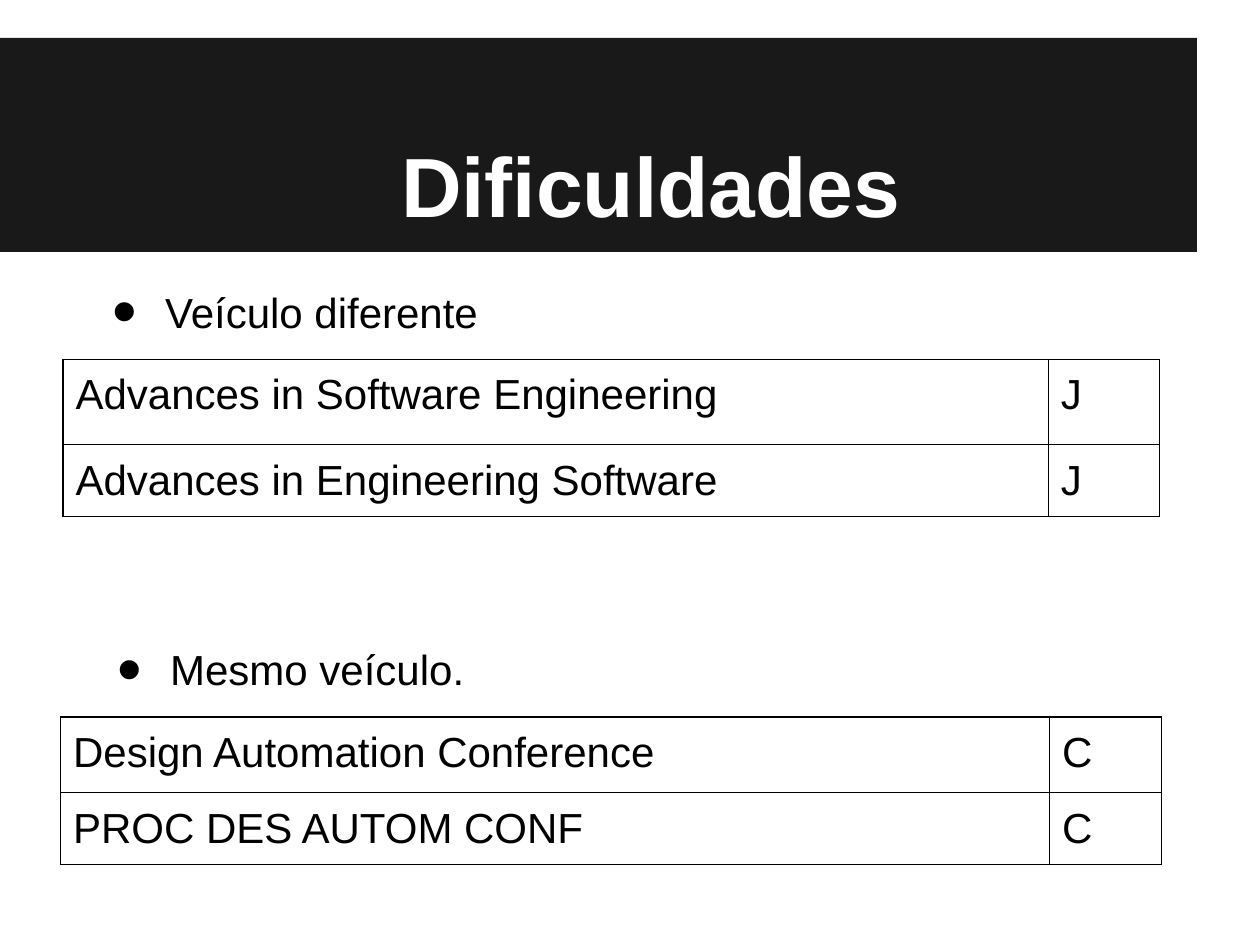
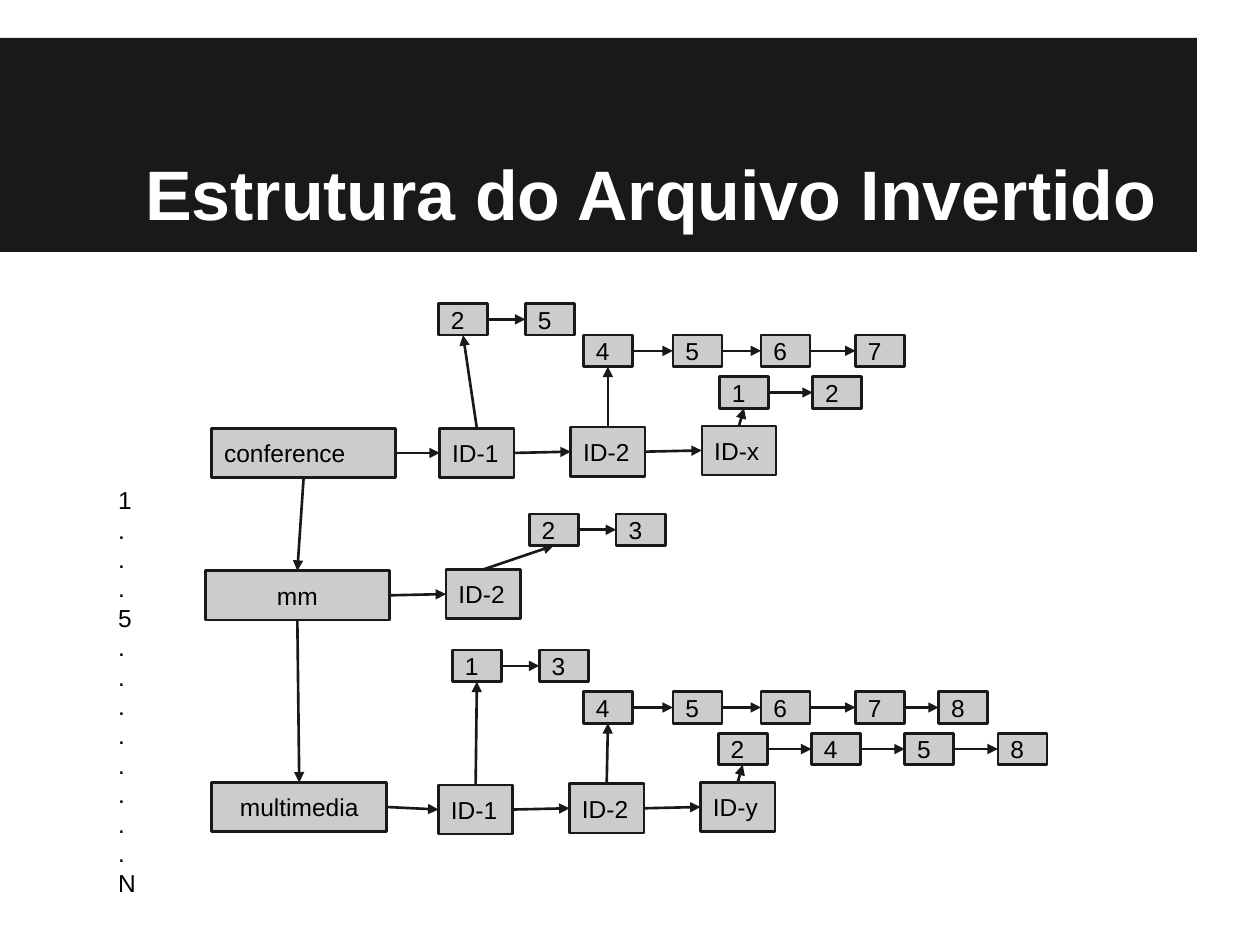
from dataclasses import dataclass

from lxml import etree
from pptx import Presentation
from pptx import util as u
from pptx.dml.color import RGBColor
from pptx.enum import shapes, text
from pptx.oxml import ns

BLACK = RGBColor(0x00, 0x00, 0x00)
WHITE = RGBColor(0xFF, 0xFF, 0xFF)
CHARCOAL = RGBColor(0x19, 0x19, 0x19)
GREY = RGBColor(0xCC, 0xCC, 0xCC)
FONT = "Arial"

COLUMNS, ROWS = 100, 75
CELL = u.Inches(0.1)
TOP, LEFT, BOTTOM, RIGHT = range(4)


@dataclass
class Box:
    left: float
    top: float
    width: float
    height: float

    def inner(self, left, top, width, height):
        return Box(self.left + left, self.top + top, width, height)

    def lengths(self):
        sides = (self.left, self.top, self.width, self.height)
        return [round(side * CELL) for side in sides]


BAND = Box(0, 3, 95, 17)
TITLE = Box(5, 3, 90, 16.6)
DIAGRAM = Box(16.3, 24.1, 68, 42.1)
POSITIONS = Box(8.4, 37.5, 3, 28.5)

WORD_HEIGHT = 3.9
ID_WIDTH, ID_STEP, ID_RISE = 5.9, 10.4, 0.1
PAGE_WIDTH, PAGE_HEIGHT = 3.9, 2.5
NEAR = (0, 6.9)
MIDDLE = (0, 7.1, 14.1, 21.6, 28.2)
FAR = (0, 7.4, 14.8, 22.2)

ENTRIES = [
    ("conference", text.PP_ALIGN.LEFT, (0.5, 9.9), 14.6, (18.1, 0), [
        ("ID-1", (-0.1, -9.9), NEAR, "25"),
        ("ID-2", (1, -7.3), MIDDLE, "4567"),
        ("ID-x", (1.4, -3.9), FAR, "12"),
    ]),
    ("mm", text.PP_ALIGN.CENTER, (0, 21.2), 14.6, (19.1, -0.1), [
        ("ID-2", (6.6, -4.4), NEAR, "23"),
    ]),
    ("multimedia", text.PP_ALIGN.CENTER, (0.5, 38), 13.9, (18, 0.2), [
        ("ID-1", (1.1, -10.7), NEAR, "13"),
        ("ID-2", (1.1, -7.3), MIDDLE, "45678"),
        ("ID-y", (1.4, -3.9), FAR, "2458"),
    ]),
]


def add_xml(parent, tag, **attributes):
    return etree.SubElement(parent, ns.qn(tag), **attributes)


def write(frame, lines, size, color=BLACK, align=None, bold=None,
          anchor=text.MSO_ANCHOR.TOP):
    frame.word_wrap = True
    frame.auto_size = text.MSO_AUTO_SIZE.NONE
    frame.vertical_anchor = anchor
    frame.margin_left = frame.margin_right = CELL
    frame.margin_top = frame.margin_bottom = CELL
    frame.text = "\n".join(lines)
    for paragraph in frame.paragraphs:
        paragraph.alignment = align
        paragraph.space_before = u.Pt(0)
        font = paragraph.font
        font.name, font.size, font.bold = FONT, u.Pt(size), bold
        font.color.rgb = color


def indent(paragraph, margin, first_line):
    properties = paragraph._p.get_or_add_pPr()
    properties.set("marL", str(round(margin * CELL)))
    properties.set("indent", str(round(first_line * CELL)))
    return properties


def place(shape, box):
    shape.left, shape.top, shape.width, shape.height = box.lengths()


def add_master_band(presentation, slide):
    band = slide.shapes.add_shape(shapes.MSO_SHAPE.RECTANGLE, *BAND.lengths())
    band.shadow.inherit = False
    band.fill.solid()
    band.fill.fore_color.rgb = CHARCOAL
    band.line.fill.background()
    presentation.slide_master.shapes.element.insert(2, band.element)


def add_title(slide, title, size):
    place(slide.shapes.title, TITLE)
    frame = slide.shapes.title.text_frame
    write(frame, [title], size, WHITE, text.PP_ALIGN.CENTER, True,
          text.MSO_ANCHOR.BOTTOM)
    indent(frame.paragraphs[0], 0, 3.3)


def add_bullet(placeholder, box, line):
    place(placeholder, box)
    write(placeholder.text_frame, [line], 24)
    properties = indent(placeholder.text_frame.paragraphs[0], 5, -4.2)
    color = add_xml(properties, "a:buClr")
    add_xml(color, "a:srgbClr", val=str(BLACK))
    add_xml(properties, "a:buSzPct", val="167000")
    add_xml(properties, "a:buFont", typeface=FONT)
    add_xml(properties, "a:buChar", char="•")
    for tag in ("a:defRPr",):
        for defaults in properties.findall(ns.qn(tag)):
            properties.append(defaults)


def add_borders(cell):
    properties = cell._tc.get_or_add_tcPr()
    for index, side in enumerate(("a:lnL", "a:lnR", "a:lnT", "a:lnB")):
        border = etree.Element(ns.qn(side), w=str(u.Pt(0.75)))
        fill = add_xml(border, "a:solidFill")
        add_xml(fill, "a:srgbClr", val=str(BLACK))
        properties.insert(index, border)


def add_venues(slide, box, widths, heights, venues):
    frame = slide.shapes.add_table(len(heights), len(widths), *box.lengths())
    table = frame.table
    table.first_row = table.horz_banding = False
    for column, width in zip(table.columns, widths):
        column.width = round(width * CELL)
    for row, height, venue in zip(table.rows, heights, venues):
        row.height = round(height * CELL)
        for cell, value in zip(row.cells, venue):
            cell.margin_left = cell.margin_right = CELL
            cell.margin_top = cell.margin_bottom = CELL
            cell.text = value
            font = cell.text_frame.paragraphs[0].font
            font.name, font.size = FONT, u.Pt(24)
            font.color.rgb = BLACK
            cell.fill.background()
            add_borders(cell)


def add_node(slide, box, label, align=text.PP_ALIGN.LEFT):
    node = slide.shapes.add_shape(shapes.MSO_SHAPE.RECTANGLE, *box.lengths())
    node.shadow.inherit = False
    node.fill.solid()
    node.fill.fore_color.rgb = GREY
    node.line.color.rgb = CHARCOAL
    node.line.width = u.Pt(1.5)
    write(node.text_frame, [label], 14, align=align,
          anchor=text.MSO_ANCHOR.MIDDLE)
    return node


def add_arrow(slide, start, start_side, end, end_side):
    arrow = slide.shapes.add_connector(
        shapes.MSO_CONNECTOR.STRAIGHT, 0, 0, 0, 0)
    arrow.begin_connect(start, start_side)
    arrow.end_connect(end, end_side)
    arrow.line.color.rgb = CHARCOAL
    arrow.line.width = u.Pt(1.5)
    add_xml(arrow.line._get_or_add_ln(), "a:tailEnd", type="triangle")
    add_xml(arrow.element.spPr, "a:effectLst")


def add_pages(slide, box, track, pages):
    nodes = [add_node(slide, box.inner(left, 0, PAGE_WIDTH, PAGE_HEIGHT), page)
             for left, page in zip(track, pages)]
    for start, end in zip(nodes, nodes[1:]):
        add_arrow(slide, start, RIGHT, end, LEFT)
    return nodes[0]


def add_entry(slide, box, word, align, first_id, records):
    word_node = previous = add_node(slide, box, word, align)
    left, top = first_id
    for index, (label, offset, track, pages) in enumerate(records):
        id_box = box.inner(left + index * ID_STEP, top - index * ID_RISE,
                           ID_WIDTH, WORD_HEIGHT)
        id_node = add_node(slide, id_box, label)
        add_arrow(slide, previous, RIGHT, id_node, LEFT)
        pages_box = id_box.inner(*offset, PAGE_WIDTH, PAGE_HEIGHT)
        first_page = add_pages(slide, pages_box, track, pages)
        add_arrow(slide, id_node, TOP, first_page, BOTTOM)
        previous = id_node
    return word_node


def add_inverted_file(slide, box):
    words = []
    for word, align, offset, width, first_id, records in ENTRIES:
        word_box = box.inner(*offset, width, WORD_HEIGHT)
        words.append(
            add_entry(slide, word_box, word, align, first_id, records))
    for start, end in zip(words, words[1:]):
        add_arrow(slide, start, BOTTOM, end, TOP)


def add_positions(slide, box):
    lines = ["1", *"...", "5", ".", ".", "..", *"....", "N"]
    label = slide.shapes.add_textbox(*box.lengths())
    write(label.text_frame, lines, 14)


def build_difficulties(slide):
    add_title(slide, "Dificuldades", 48)
    add_bullet(slide.placeholders[1], Box(7.1, 21.7, 82.7, 6.2),
               "Veículo diferente")
    add_venues(slide, Box(5, 28.5, 87, 12.5), (78.2, 8.8), (6.8, 5.7), [
        ("Advances in Software Engineering", "J"),
        ("Advances in Engineering Software", "J"),
    ])
    add_bullet(slide.placeholders[2], Box(7.5, 50.1, 77.8, 6.2),
               "Mesmo veículo.")
    add_venues(slide, Box(4.8, 56.9, 87.4, 11.7), (78.5, 8.9), (6, 5.7), [
        ("Design Automation Conference", "C"),
        ("PROC DES AUTOM CONF", "C"),
    ])


def build_structure(slide):
    add_title(slide, "Estrutura do Arquivo Invertido", 40)
    add_positions(slide, POSITIONS)
    add_inverted_file(slide, DIAGRAM)


def main():
    presentation = Presentation()
    presentation.slide_width = COLUMNS * CELL
    presentation.slide_height = ROWS * CELL
    two_content = presentation.slide_layouts.get_by_name("Two Content")
    title_only = presentation.slide_layouts.get_by_name("Title Only")
    difficulties = presentation.slides.add_slide(two_content)
    add_master_band(presentation, difficulties)
    build_difficulties(difficulties)
    build_structure(presentation.slides.add_slide(title_only))
    presentation.save("out.pptx")


if __name__ == "__main__":
    main()
